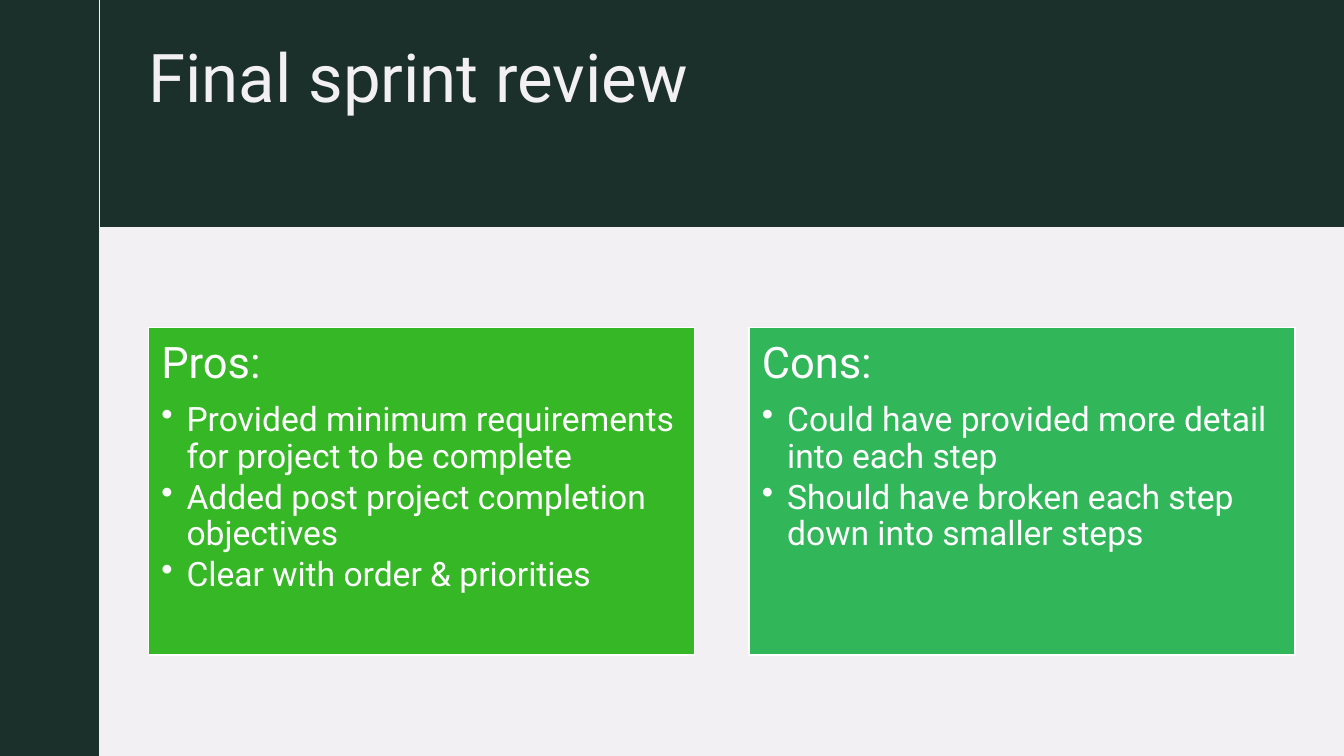
from lxml import etree
from pptx import Presentation
from pptx.dml.color import RGBColor
from pptx.enum.shapes import MSO_CONNECTOR as CONNECTOR, MSO_SHAPE as SHAPE
from pptx.enum.text import MSO_ANCHOR as ANCHOR, MSO_AUTO_SIZE as AUTO_SIZE, PP_ALIGN as ALIGN
from pptx.oxml.ns import qn
from pptx.util import Pt

DARK = RGBColor(0x1B, 0x30, 0x2A)
LIGHT = RGBColor(0xF2, 0xF0, 0xF3)
WHITE = RGBColor(0xFF, 0xFF, 0xFF)
LIME = RGBColor(0x36, 0xB7, 0x26)
GREEN = RGBColor(0x32, 0xB6, 0x5A)

FONT = "Roboto"
PAGE_WIDTH, PAGE_HEIGHT = 960, 540
STRIP_WIDTH = 70.8
HEADER_HEIGHT = 162
MARGIN = 106
CARD_TOP, CARD_WIDTH, CARD_HEIGHT = 234, 390, 234
CARD_STEP = 429
CARD_INSET = 9.3
BULLET_INDENT = 18

CARDS = [
    (LIME, "Pros:", [
        "Provided minimum requirements for project to be complete",
        "Added post project completion objectives",
        "Clear with order & priorities",
    ]),
    (GREEN, "Cons:", [
        "Could have provided more detail into each step",
        "Should have broken each step down into smaller steps",
    ]),
]


def add_block(page, left, top, width, height, color):
    """Add a plain filled rectangle without an outline."""
    block = page.shapes.add_shape(SHAPE.RECTANGLE, Pt(left), Pt(top), Pt(width), Pt(height))
    block.shadow.inherit = False
    block.fill.solid()
    block.fill.fore_color.rgb = color
    block.line.fill.background()
    return block


def add_rule(page, x, color):
    """Add a thin vertical line over the full height of the page."""
    rule = page.shapes.add_connector(CONNECTOR.STRAIGHT, Pt(x), Pt(0), Pt(x), Pt(PAGE_HEIGHT))
    rule.line.color.rgb = color
    rule.line.width = Pt(0.75)
    etree.SubElement(rule.element.spPr, qn("a:effectLst"))


def set_frame(frame, inset):
    """Make a text frame wrap from its top with equal insets."""
    frame.word_wrap = True
    frame.auto_size = AUTO_SIZE.NONE
    frame.vertical_anchor = ANCHOR.TOP
    frame.margin_left = frame.margin_right = Pt(inset)
    frame.margin_top = frame.margin_bottom = Pt(inset)


def set_paragraph(para, text, size, color):
    """Write left-aligned text in the deck font."""
    para.text = text
    para.alignment = ALIGN.LEFT
    para.font.name = FONT
    para.font.size = Pt(size)
    para.font.color.rgb = color


def add_bullet(para):
    """Give a paragraph a hanging round bullet."""
    properties = para._p.get_or_add_pPr()
    properties.set("marL", str(Pt(BULLET_INDENT)))
    properties.set("indent", str(-Pt(BULLET_INDENT)))
    bullet = properties.makeelement(qn("a:buChar"), {"char": "•"})
    properties.find(qn("a:defRPr")).addprevious(bullet)


def place_title(page, text):
    """Position the title in the header, in front of the blocks."""
    title = page.shapes.title
    title.left, title.top, title.width, title.height = Pt(MARGIN), Pt(25), Pt(819), Pt(99)
    set_frame(title.text_frame, 0)
    set_paragraph(title.text_frame.paragraphs[0], text, 48, LIGHT)
    title.element.getparent().append(title.element)


def add_card(page, left, color, heading, points):
    """Add an outlined card with a heading and bullet points."""
    card = add_block(page, left, CARD_TOP, CARD_WIDTH, CARD_HEIGHT, color)
    card.line.color.rgb = WHITE
    card.line.width = Pt(1)
    frame = card.text_frame
    set_frame(frame, CARD_INSET)
    para = frame.paragraphs[0]
    set_paragraph(para, heading, 31, WHITE)
    para.space_after = Pt(10.85)
    for point in points:
        para = frame.add_paragraph()
        set_paragraph(para, point, 24, WHITE)
        para.space_after = Pt(3.6)
        add_bullet(para)
    for para in frame.paragraphs:
        para.line_spacing = 0.9


def main():
    """Build and save the sprint review slide."""
    deck = Presentation()
    deck.slide_width, deck.slide_height = Pt(PAGE_WIDTH), Pt(PAGE_HEIGHT)
    page = deck.slides.add_slide(deck.slide_layouts[5])
    page.background.fill.solid()
    page.background.fill.fore_color.rgb = LIGHT
    add_block(page, 0, 0, STRIP_WIDTH, PAGE_HEIGHT, DARK)
    add_block(page, STRIP_WIDTH, 0, PAGE_WIDTH - STRIP_WIDTH, HEADER_HEIGHT, DARK)
    place_title(page, "Final sprint review")
    add_rule(page, STRIP_WIDTH, LIGHT)
    for index, (color, heading, points) in enumerate(CARDS):
        add_card(page, MARGIN + index * CARD_STEP, color, heading, points)
    deck.save("out.pptx")


if __name__ == "__main__":
    main()
